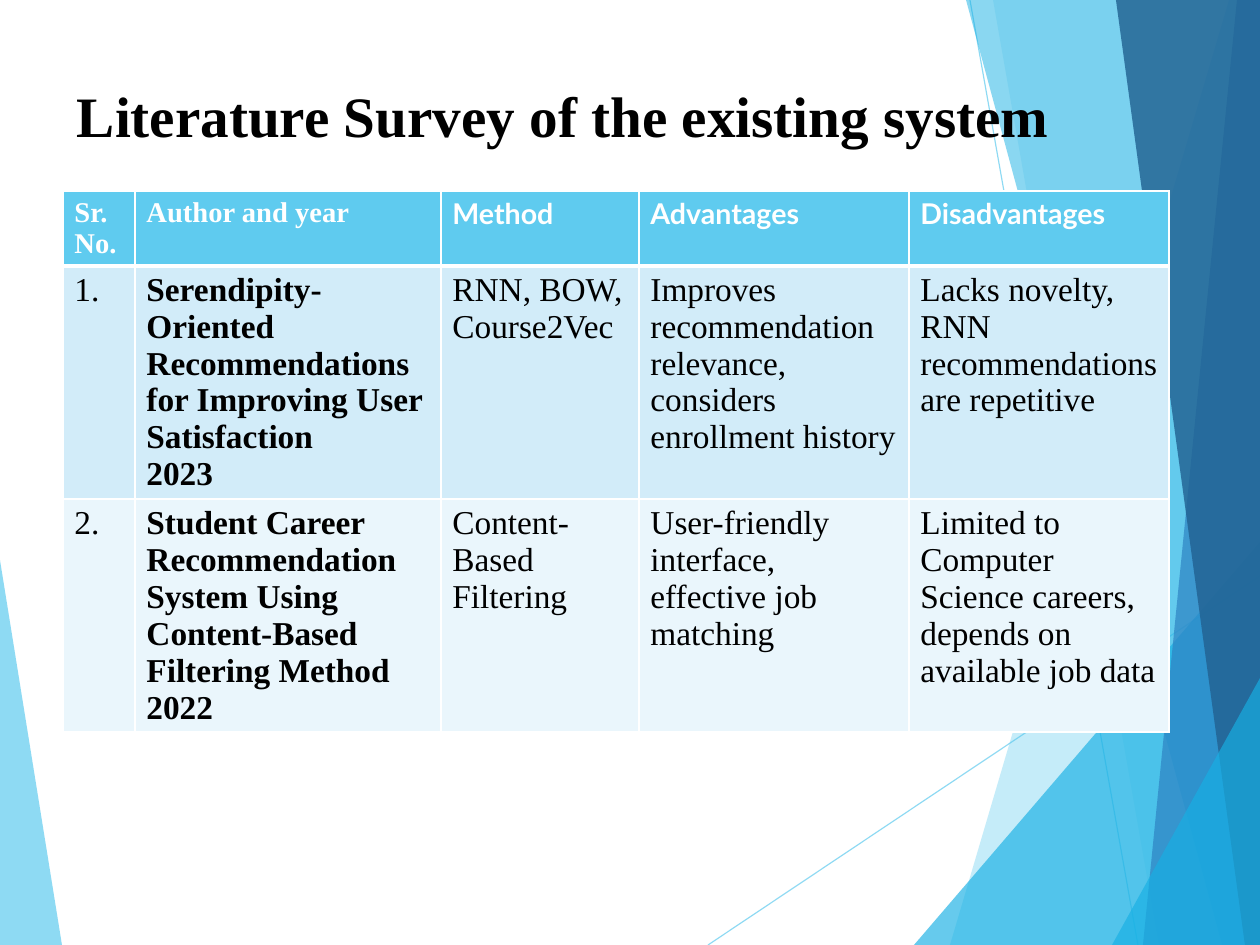
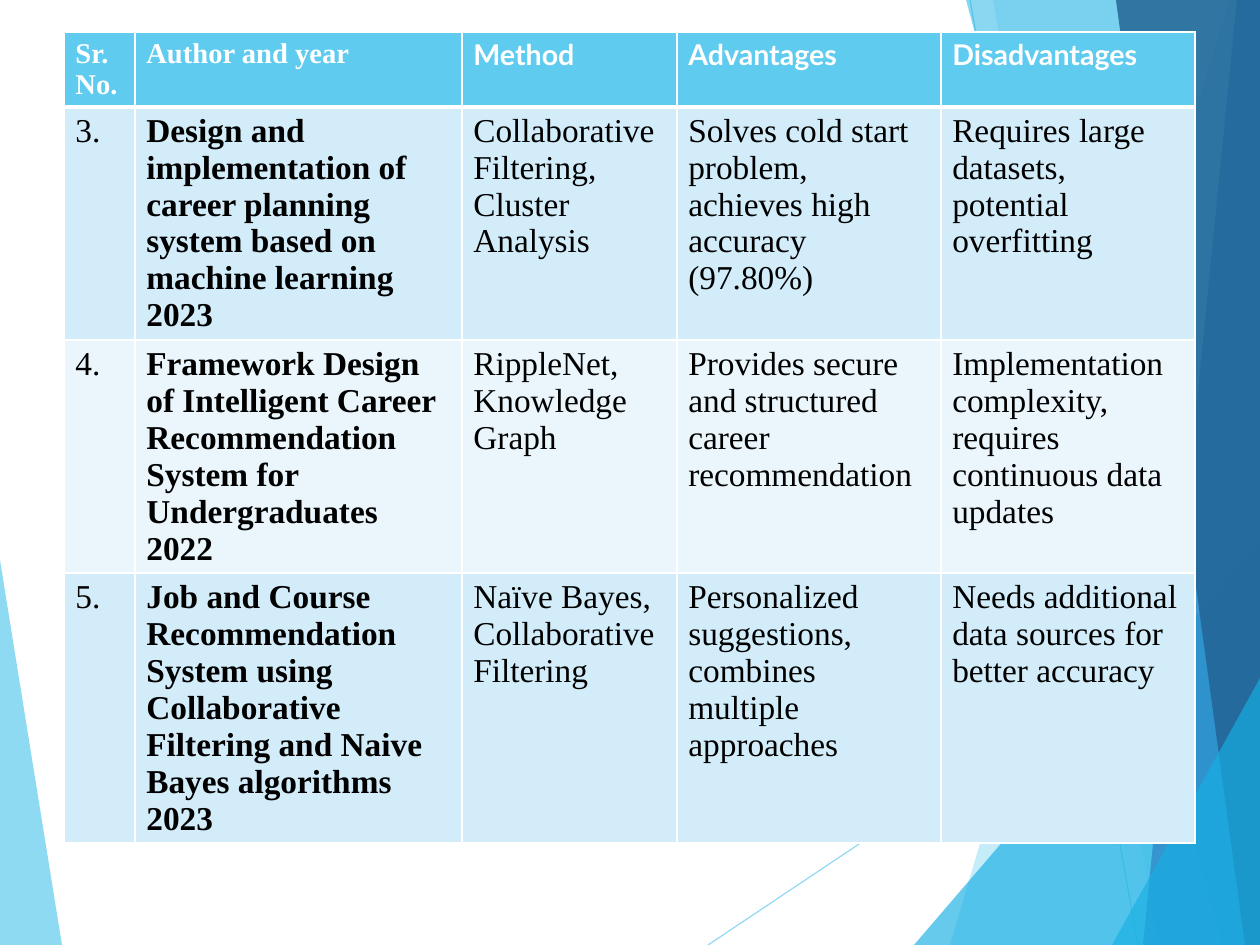
"""Builds the literature survey deck."""
import lxml.etree
import pptx
import pptx.dml.color
import pptx.enum.shapes
import pptx.enum.text
import pptx.oxml.ns
import pptx.util

SCALE = 8000
WIDTH, HEIGHT = 1260, 945
SERIF, SANS = "Times New Roman", "Lato"
SKY, CYAN, BLUE, NAVY = "5FCBEF", "17B0E4", "2E83C3", "226292"
WHITE, BLACK = "FFFFFF", "000000"
BANDS = ("D2ECF9", "EAF6FC")
TITLE_BOX = (63, 38, 1134, 158)
TITLE_INDENT = 14
HEADER_HEIGHT = 74

RAYS = [((708, HEIGHT), (WIDTH, 576)), ((970, 0), (1138, HEIGHT))]
RAY_OPACITY = 70
LEFT_FACET = (SKY, 70, [(0, 560), (62, HEIGHT), (0, HEIGHT)])
RIGHT_FACETS = [
    (SKY, 36, [(1229, 0), (950, HEIGHT), (WIDTH, HEIGHT), (WIDTH, 0)]),
    (SKY, 20, [(993, 0), (1159, HEIGHT), (WIDTH, HEIGHT), (WIDTH, 0)]),
    (CYAN, 66, [(914, HEIGHT), (WIDTH, 542), (WIDTH, HEIGHT)]),
    (CYAN, 50, [(966, 0), (1222, HEIGHT), (WIDTH, HEIGHT), (WIDTH, 0)]),
    (BLUE, 70, [(1237, 0), (1143, HEIGHT), (WIDTH, HEIGHT), (WIDTH, 0)]),
    (NAVY, 82, [(1116, 0), (1245, HEIGHT), (WIDTH, HEIGHT), (WIDTH, 0)]),
    (CYAN, 66, [(1112, HEIGHT), (WIDTH, 678), (WIDTH, HEIGHT)]),
]

HEADINGS = [("Sr. No.", SERIF), ("Author and year", SERIF), ("Method", SANS),
            ("Advantages", SANS), ("Disadvantages", SANS)]
FIRST_PAPERS = [
    ("1.", "Serendipity-Oriented Recommendations for Improving User Satisfaction\n2023",
     "RNN, BOW, Course2Vec",
     "Improves recommendation relevance, considers enrollment history",
     "Lacks novelty, RNN recommendations are repetitive"),
    ("2.", "Student Career Recommendation System Using Content-Based Filtering Method\n2022",
     "Content-Based Filtering",
     "User-friendly interface, effective job matching",
     "Limited to Computer Science careers, depends on available job data"),
]
MORE_PAPERS = [
    ("3.", "Design and implementation of career planning system based on machine learning\n2023",
     "Collaborative Filtering, Cluster Analysis",
     "Solves cold start problem, achieves high accuracy (97.80%)",
     "Requires large datasets, potential overfitting"),
    ("4.", "Framework Design of Intelligent Career Recommendation System for Undergraduates\n2022",
     "RippleNet, Knowledge Graph",
     "Provides secure and structured career recommendation",
     "Implementation complexity, requires continuous data updates"),
    ("5.", "Job and Course Recommendation System using Collaborative Filtering "
     "and Naive Bayes algorithms\n2023",
     "Naïve Bayes, Collaborative Filtering",
     "Personalized suggestions, combines multiple approaches",
     "Needs additional data sources for better accuracy"),
]


def px(length):
    """Turn px into EMU."""
    return pptx.util.Emu(length * SCALE)


def paint(colour_format, colour):
    """Set a fill, line fill or font colour from a hex string."""
    colour_format.rgb = pptx.dml.color.RGBColor.from_string(colour)


def add_child(parent, tag, **attributes):
    """Append an XML element with a prefixed tag."""
    return lxml.etree.SubElement(parent, pptx.oxml.ns.qn(tag), **attributes)


def set_opacity(shape, percent):
    """Make the one colour of a shape see-through."""
    colour = shape.element.xpath("./p:spPr//a:srgbClr")[0]
    add_child(colour, "a:alpha", val=str(percent * 1000))


def add_facet(page, colour, opacity, corners):
    """Draw one translucent polygon."""
    builder = page.shapes.build_freeform(*corners[0], scale=SCALE)
    builder.add_line_segments(corners[1:], close=True)
    facet = builder.convert_to_shape()
    facet.shadow.inherit = False
    facet.fill.solid()
    paint(facet.fill.fore_color, colour)
    facet.line.fill.background()
    set_opacity(facet, opacity)
    return facet


def add_ray(page, start, end):
    """Draw one thin translucent line."""
    ray = page.shapes.add_connector(
        pptx.enum.shapes.MSO_CONNECTOR.STRAIGHT, *map(px, start + end))
    ray.line.width = pptx.util.Pt(0.75)
    paint(ray.line.color, SKY)
    set_opacity(ray, RAY_OPACITY)
    add_child(ray.element.spPr, "a:effectLst")
    return ray


def decorate_master(deck, page):
    """Draw the shared backdrop on a page and move it to the master."""
    parts = [add_facet(page, *LEFT_FACET)]
    parts += [add_ray(page, *ends) for ends in RAYS]
    parts += [add_facet(page, *facet) for facet in RIGHT_FACETS]
    tree = deck.slide_master.element.cSld.spTree
    for number, part in enumerate(parts, start=100):
        part.element.xpath(".//p:cNvPr")[0].set("id", str(number))
        tree.append(part.element)


def style_runs(frame, font, size, colour, bold):
    """Format every run of a text frame."""
    for para in frame.paragraphs:
        for span in para.runs:
            span.font.name = font
            span.font.size = pptx.util.Pt(size)
            span.font.bold = bold
            paint(span.font.color, colour)


def place_title(page, box, text):
    """Place and format the title placeholder."""
    title = page.shapes.title
    title.left, title.top, title.width, title.height = map(px, box)
    frame = title.text_frame
    frame.text = text
    frame.word_wrap = True
    frame.auto_size = pptx.enum.text.MSO_AUTO_SIZE.NONE
    frame.vertical_anchor = pptx.enum.text.MSO_ANCHOR.MIDDLE
    frame.margin_left, frame.margin_top = px(TITLE_INDENT), px(3)
    frame.margin_right = frame.margin_bottom = 0
    frame.paragraphs[0].alignment = pptx.enum.text.PP_ALIGN.LEFT
    frame.paragraphs[0].line_spacing = 0.93
    style_runs(frame, SERIF, 36, BLACK, True)


def set_borders(cell, top, bottom):
    """Give a cell white borders with the top and bottom widths in points."""
    properties = cell._tc.get_or_add_tcPr()
    widths = {"a:lnL": 1, "a:lnR": 1, "a:lnT": top, "a:lnB": bottom}
    for index, (tag, width) in enumerate(widths.items()):
        border = add_child(properties, tag, w=str(pptx.util.Pt(width)))
        add_child(add_child(border, "a:solidFill"), "a:srgbClr", val=WHITE)
        properties.insert(index, border)


def fill_cell(cell, text, fill, font, size, colour, bold):
    """Write and format one table cell."""
    cell.text_frame.text = text
    style_runs(cell.text_frame, font, size, colour, bold)
    cell.fill.solid()
    paint(cell.fill.fore_color, fill)


def add_survey_table(page, left, top, columns, heights, papers):
    """Draw the table of papers under its headings."""
    heights = [HEADER_HEIGHT] + heights
    box = (left, top, sum(columns), sum(heights))
    table = page.shapes.add_table(len(heights), len(columns), *map(px, box)).table
    for column, width in zip(table.columns, columns):
        column.width = px(width)
    for row, height in zip(table.rows, heights):
        row.height = px(height)
    for index, (heading, font) in enumerate(HEADINGS):
        cell = table.cell(0, index)
        fill_cell(cell, heading, SKY, font, 18, WHITE, True)
        set_borders(cell, 1, 3)
    for number, paper in enumerate(papers, start=1):
        band = BANDS[(number - 1) % 2]
        for index, text in enumerate(paper):
            cell = table.cell(number, index)
            fill_cell(cell, text, band, SERIF, 21, BLACK, index == 1)
            set_borders(cell, 3 if number == 1 else 1, 1)


def main():
    """Build and save the deck."""
    deck = pptx.Presentation()
    deck.slide_width, deck.slide_height = px(WIDTH), px(HEIGHT)
    title_only, blank = deck.slide_layouts[5], deck.slide_layouts[6]

    page = deck.slides.add_slide(title_only)
    decorate_master(deck, page)
    place_title(page, TITLE_BOX, "Literature Survey of the existing system")
    add_survey_table(page, 63, 191, [72, 306, 198, 270, 260], [233, 233], FIRST_PAPERS)

    page = deck.slides.add_slide(blank)
    add_survey_table(page, 64, 32, [71, 327, 215, 264, 254], [233, 233, 270], MORE_PAPERS)

    deck.save("out.pptx")


if __name__ == "__main__":
    main()
